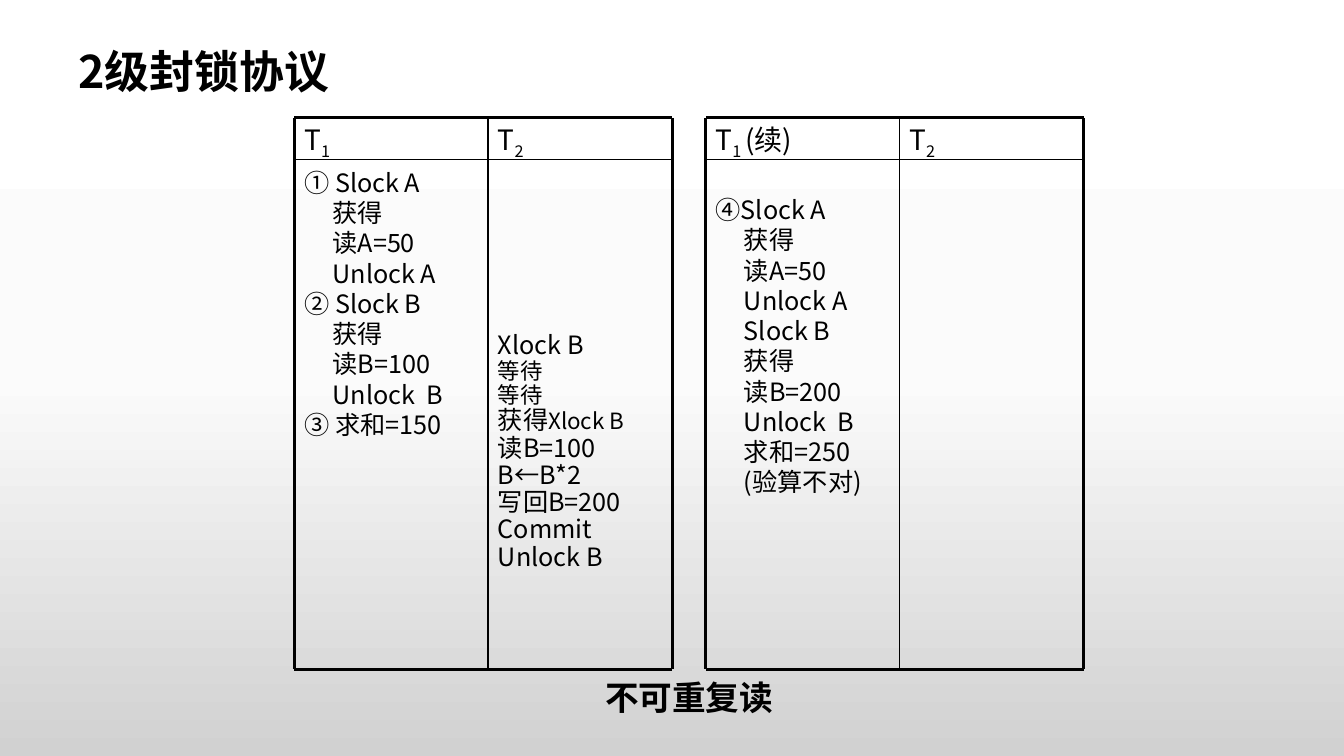
from copy import deepcopy
from pptx import Presentation, util as u
from pptx.dml.color import RGBColor
from pptx.enum import shapes, text
from pptx.oxml.ns import qn
from lxml import etree

FONT = "Noto Sans CJK SC"
BLACK = RGBColor(0, 0, 0)
BACKDROP = [(0, RGBColor(0xFF, 0xFF, 0xFF)), (0.5, RGBColor(0xFB, 0xFB, 0xFB)),
            (1, RGBColor(0xD1, 0xD1, 0xD1))]

# Grid shared by both schedules, in inches
LEFTS = (2.92, 7)
COLS = (0, 1.92, 3.75)
ROWS = (1.17, 1.58, 6.64)
THICK, THIN = 2.25, 1
BODY, SMALL, HEAD = 18, 16, 20
INDENT = 0.28


def add_text(box, paragraphs, spacing=None, bold=False):
    """Each paragraph is a list of (text, size, baseline) runs."""
    tb = s.shapes.add_textbox(*(u.Inches(v) for v in box))
    tf = tb.text_frame
    tf.word_wrap = True
    for i, runs in enumerate(paragraphs):
        p = tf.paragraphs[0] if i == 0 else tf.add_paragraph()
        if spacing and (i or bold):
            p.line_spacing = spacing
        for words, size, baseline in runs:
            r = p.add_run()
            r.text = words
            r.font.size = u.Pt(size)
            r.font.bold = bold
            r.font.name = FONT
            r.font.color.rgb = BLACK
            rpr = r.font._element
            etree.SubElement(rpr, qn("a:ea")).set("typeface", FONT)
            if baseline:
                rpr.set("baseline", str(baseline * 1000))
    return tf


def add_line(x1, y1, x2, y2, width):
    c = s.shapes.add_connector(shapes.MSO_CONNECTOR.STRAIGHT,
                               *(u.Inches(v) for v in (x1, y1, x2, y2)))
    c.line.color.rgb = BLACK
    c.line.width = u.Pt(width)
    etree.SubElement(c._element.spPr, qn("a:effectLst"))


prs = Presentation()
prs.slide_width, prs.slide_height = u.Inches(13.33), u.Inches(7.5)
s = prs.slides.add_slide(prs.slide_layouts[6])

# Background
fill = s.background.fill
fill.gradient()
fill.gradient_angle = 270
last = list(s._element.iter(qn("a:gs")))[-1]
last.addprevious(deepcopy(last))
for stop, (position, color) in zip(fill.gradient_stops, BACKDROP):
    stop.position = position
    stop.color.rgb = color

# Title and caption
tf = add_text((0.68, 0.32, 8.52, 0.83), [[("2级封锁协议", 32, 0)]], 0.9, True)
tf.vertical_anchor = text.MSO_ANCHOR.MIDDLE
tf = add_text((5.42, 6.58, 2.83, 0.67), [[("不可重复读", 24, 0)]], bold=True)
tf.vertical_anchor = text.MSO_ANCHOR.MIDDLE
tf.word_wrap = False
tf.paragraphs[0].alignment = text.PP_ALIGN.CENTER

# Rules and column heads
for left, suffix in zip(LEFTS, ([("1", HEAD, -25)],
                                [("1 ", HEAD, -25), ("(续)", HEAD, 0)])):
    xs = [left + c for c in COLS]
    for y, width in zip(ROWS, (THICK, THIN, THICK)):
        add_line(xs[0], y, xs[-1], y, width)
    for x, width in zip(xs, (THICK, THIN, THICK)):
        add_line(x, ROWS[0], x, ROWS[-1], width)
    for x, tail in zip(xs, (suffix, [("2", HEAD, -25)])):
        add_text((x, ROWS[0], 1.83, 0.42), [[("T", HEAD, 0)] + tail])

# Steps of T1: unnumbered lines are indented under their number
T1_STEPS = [
    (1.61, ["①\u00a0Slock A", "获得", "读A=50", "Unlock A", "② Slock B", "获得",
            "读B=100", "Unlock  B", "③ 求和=150"]),
    (1.88, ["④Slock A", "获得", "读A=50", "Unlock A", "Slock B", "获得",
            "读B=200", "Unlock  B", "求和=250", "(验算不对)"]),
]
for left, (top, steps) in zip(LEFTS, T1_STEPS):
    tf = add_text((left, top, 1.83, ROWS[-1] - top), [[(t, BODY, 0)] for t in steps])
    for p in tf.paragraphs:
        if p.text[0] not in "①②③④":
            p._p.get_or_add_pPr().set("marL", str(u.Inches(INDENT)))

# Steps of T2
T2_STEPS = [[("Xlock B", BODY, 0)], [("等待", SMALL, 0)], [("等待", SMALL, 0)],
            [("获得", BODY, 0), ("Xlock B", SMALL, 0)]]
T2_STEPS += [[(t, BODY, 0)] for t in ("读B=100", "B←B*2", "写回B=200", "Commit", "Unlock B")]
add_text((LEFTS[0] + COLS[1], 3.22, 1.83, 3.42), T2_STEPS, 0.9)

prs.save("out.pptx")
